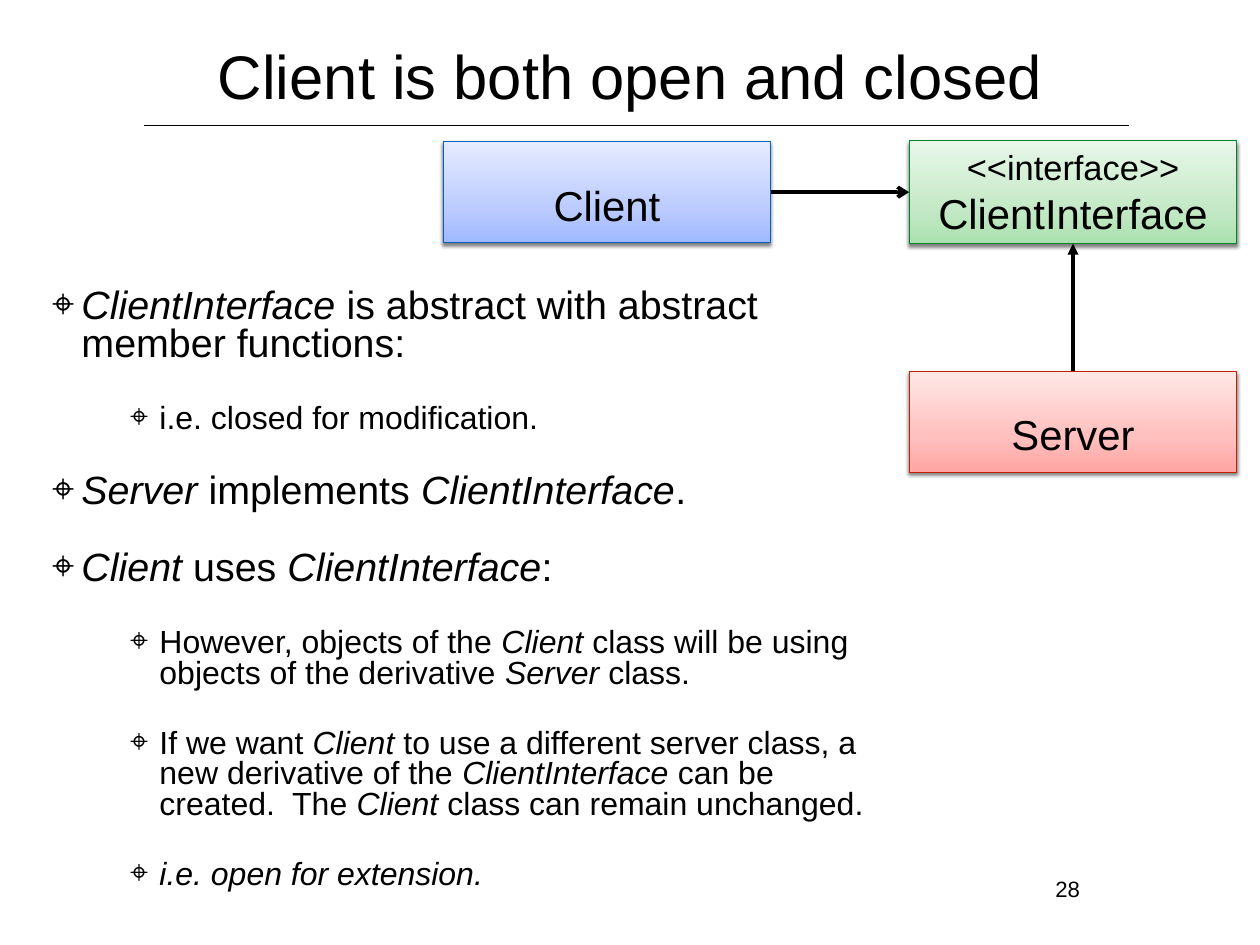
from copy import deepcopy
from dataclasses import dataclass
from lxml.etree import SubElement as Sub
from pptx import Presentation
from pptx.dml.color import RGBColor as Rgb
from pptx.enum.shapes import MSO_CONNECTOR as Conn, MSO_SHAPE as Shape
from pptx.enum.text import MSO_ANCHOR as Anchor, PP_ALIGN as Align
from pptx.oxml.ns import qn
from pptx.util import Inches, Pt


@dataclass(frozen=True)
class Theme:
    font: str = "Arial"
    ink: str = "000000"
    title: int = 50
    name: int = 34
    tag: int = 28
    levels: tuple = (32, 26)
    page: int = 18
    # Each set: line, then gradient stops from bottom to top
    blue: tuple = ("0063BF", "A0B8FF", "BCCCFF", "E5EBFF")
    green: tuple = ("00852A", "AAE1AF", "C5E9C7", "E8F7E9")
    red: tuple = ("C82101", "FFA5A3", "FFC0BE", "FFE7E6")


THEME = Theme()
STOPS = (0, 0.35, 1)
PAD = 0.06
BOX_W, BOX_H = 3.7, 1.14

POINTS = [  # level, text with *italic* parts
    (0, "*ClientInterface *is abstract with abstract member functions:"),
    (1, "i.e. closed for modification."),
    (0, "*Server *implements *ClientInterface*."),
    (0, "*Client *uses *ClientInterface*:"),
    (1, "However, objects of the *Client *class will be using objects "
        "of the derivative *Server *class."),
    (1, "If we want *Client *to use a different server class, a new derivative "
        "of the *ClientInterface *can be created.  The *Client *class can "
        "remain unchanged."),
    (1, "*i.e. open for extension.*"),
]


# Text helpers
def add_run(para, text, size, italic=False):
    run = para.add_run()
    run.text = text
    run.font.name = THEME.font
    run.font.size = Pt(size)
    run.font.italic = italic
    run.font.color.rgb = Rgb.from_string(THEME.ink)


def set_frame(shape, anchor=Anchor.TOP, wrap=True):
    frame = shape.text_frame
    frame.word_wrap = wrap
    frame.vertical_anchor = anchor
    frame.margin_left = frame.margin_right = Inches(PAD)
    frame.margin_top = frame.margin_bottom = Inches(PAD)
    return frame


def add_text(slide, box, anchor=Anchor.TOP, wrap=True):
    return set_frame(slide.shapes.add_textbox(*map(Inches, box)), anchor, wrap)


def add_bullet(para, left, hang):
    props = para._p.get_or_add_pPr()
    props.set("marL", str(Inches(left)))
    props.set("indent", str(Inches(-hang)))
    color = Sub(props, qn("a:buClr"))
    Sub(color, qn("a:srgbClr"), val=THEME.ink)
    Sub(props, qn("a:buFont"), typeface=THEME.font)
    Sub(props, qn("a:buChar"), char="⌖")


# Lines and arrows
def add_line(slide, start, end, width, head=None):
    line = slide.shapes.add_connector(Conn.STRAIGHT, *map(Inches, start + end))
    line.line.color.rgb = Rgb.from_string(THEME.ink)
    line.line.width = Pt(width)
    if head:
        Sub(line.line._get_or_add_ln(), qn("a:tailEnd"), type=head)
    Sub(line._element.spPr, qn("a:effectLst"))
    return line


def join(slide, source, side, target, end_side, head):
    arrow = add_line(slide, (0, 0), (1, 1), 3, head)
    arrow.begin_connect(source, side)
    arrow.end_connect(target, end_side)


# Class box with gradient and soft shadow
def add_class(slide, box, colors, name, tag=None):
    shape = slide.shapes.add_shape(Shape.RECTANGLE, *map(Inches, box))
    edge, *shades = colors
    shape.line.color.rgb = Rgb.from_string(edge)
    shape.line.width = Pt(0.75)
    shape.fill.gradient()
    shape.fill.gradient_angle = 90
    first = shape.fill.gradient_stops[0]._gs
    first.addnext(deepcopy(first))
    for stop, place, shade in zip(shape.fill.gradient_stops, STOPS, shades):
        stop.position = place
        stop.color.rgb = Rgb.from_string(shade)

    shape.shadow.inherit = False
    effects = shape._element.spPr.find(qn("a:effectLst"))
    shadow = Sub(effects, qn("a:outerShdw"), blurRad=str(Pt(3)),
                 dist=str(Pt(2)), dir="5400000", rotWithShape="0")
    color = Sub(shadow, qn("a:srgbClr"), val=THEME.ink)
    Sub(color, qn("a:alpha"), val="50000")

    para = set_frame(shape, Anchor.MIDDLE).paragraphs[0]
    para.alignment = Align.CENTER
    if tag:
        add_run(para, tag, THEME.tag)
        para.add_line_break()
    else:
        para.line_spacing = 1.5
        para.space_after = Pt(6)
    add_run(para, name, THEME.name)
    return shape


# Regions
def add_title(slide, box, text):
    para = add_text(slide, box, Anchor.MIDDLE).paragraphs[0]
    para.alignment = Align.CENTER
    add_run(para, text, THEME.title)
    left, top = box[0] + 0.91, box[1] + 1.42
    add_line(slide, (left, top), (left + 11.12, top), 1)


def add_points(slide, box, points):
    frame = add_text(slide, box)
    for i, (level, text) in enumerate(points):
        para = frame.add_paragraph() if i else frame.paragraphs[0]
        add_bullet(para, (0.36, 1.24)[level], 0.33)
        para.level = level
        para.line_spacing = 0.8
        if i:
            para.space_before = Pt(32)
        for j, part in enumerate(text.split("*")):
            if part:
                add_run(para, part, THEME.levels[level], j % 2 == 1)


def add_diagram(slide, box):
    left, top, width, height = box
    right = left + width - BOX_W
    client = add_class(slide, (left, top + 0.01, BOX_W, BOX_H),
                       THEME.blue, "Client")
    face = add_class(slide, (right, top, BOX_W, BOX_H + 0.02),
                     THEME.green, "ClientInterface", "<<interface>>")
    server = add_class(slide, (right, top + height - BOX_H, BOX_W, BOX_H),
                       THEME.red, "Server")
    join(slide, client, 3, face, 1, "arrow")
    join(slide, server, 0, face, 2, "triangle")


def add_page(slide, box, number):
    para = add_text(slide, box, wrap=False).paragraphs[0]
    para.alignment = Align.CENTER
    para.line_spacing = 0.9
    add_run(para, number, THEME.page)


def main():
    deck = Presentation()
    deck.slide_width, deck.slide_height = Inches(14.22), Inches(10.67)
    slide = deck.slides.add_slide(deck.slide_layouts[6])
    add_title(slide, (0.71, 0, 12.81, 1.69), "Client is both open and closed")
    add_points(slide, (0.5, 3.21, 9.53, 6.3), POINTS)
    add_diagram(slide, (5, 1.59, 8.96, 3.74))
    add_page(slide, (11.85, 9.86, 0.4, 0.41), "28")
    deck.save("out.pptx")


if __name__ == "__main__":
    main()
